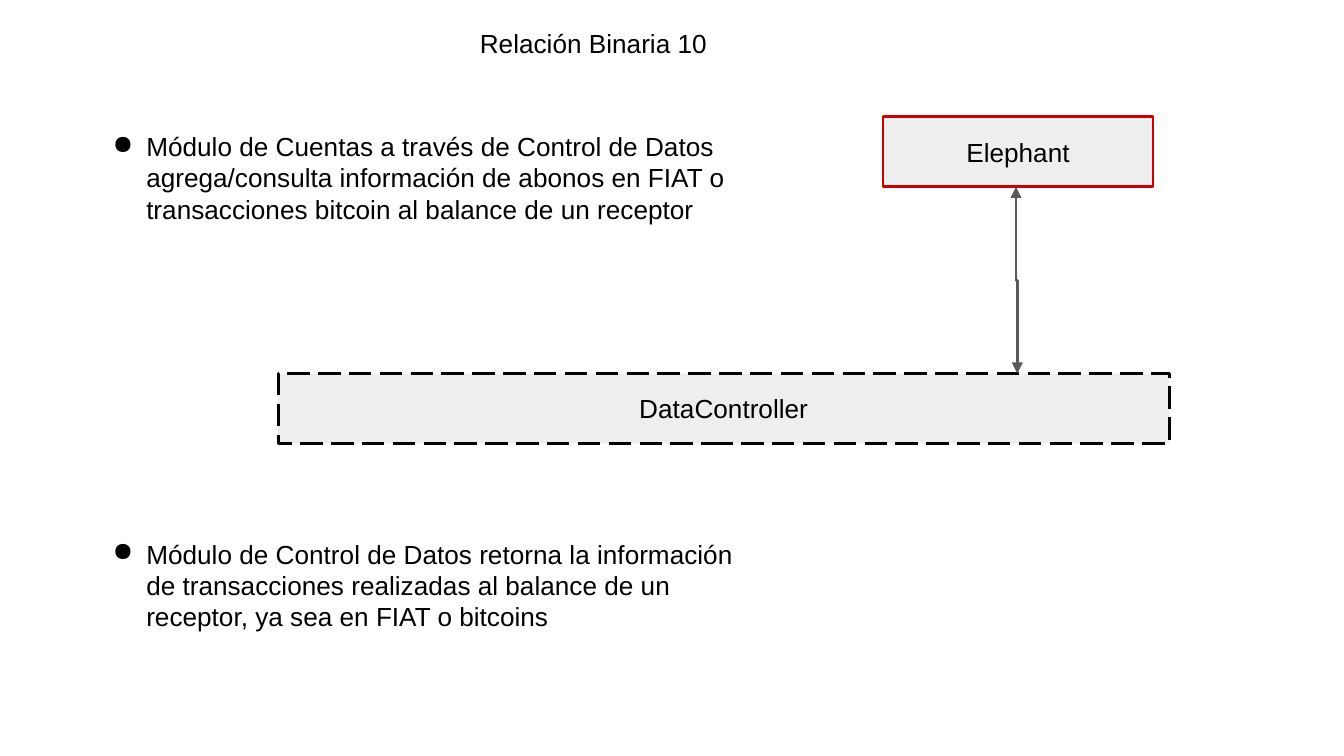
from typing import NamedTuple

from lxml import etree
from pptx import Presentation
from pptx.dml.color import RGBColor
from pptx.enum.dml import MSO_LINE
from pptx.enum.shapes import MSO_CONNECTOR, MSO_SHAPE
from pptx.enum.text import MSO_ANCHOR, MSO_AUTO_SIZE, PP_ALIGN
from pptx.oxml.ns import qn
from pptx.util import Emu, Inches, Pt

RECT = MSO_SHAPE.RECTANGLE
ELBOW = MSO_CONNECTOR.ELBOW
DASH, SOLID = MSO_LINE.LONG_DASH, MSO_LINE.SOLID
TOP, MIDDLE = MSO_ANCHOR.TOP, MSO_ANCHOR.MIDDLE
LEFT, CENTER = PP_ALIGN.LEFT, PP_ALIGN.CENTER
NO_FIT = MSO_AUTO_SIZE.NONE

WIDE, HIGH = Inches(10), Inches(5.625)
COLORS = {"ink": "000000", "fill": "EEEEEE", "red": "CC0000", "arrow": "595959"}
FONT, SIZE, STROKE = "Arial", Pt(14), Pt(1.5)
LEAD, GAP = Pt(16.8), Pt(168)
NOTES = [
    "Módulo de Cuentas a través de Control de Datos agrega/consulta información "
    "de abonos en FIAT o transacciones bitcoin al balance de un receptor",
    "Módulo de Control de Datos retorna la información de transacciones "
    "realizadas al balance de un receptor, ya sea en FIAT o bitcoins",
]


class Area(NamedTuple):
    """Left, top, width and height in percent of the slide."""
    x: float
    y: float
    w: float
    h: float


class Box(NamedTuple):
    text: str
    area: Area
    edge: str
    dash: MSO_LINE


TITLE = Area(34.7, 1.78, 31.5, 7.11)
BODY = Area(4.9, 15.47, 51.6, 73.07)
BOXES = [
    Box("Elephant", Area(65.7, 15.47, 20.1, 9.24), "red", SOLID),
    Box("DataController", Area(20.7, 49.42, 66.3, 9.24), "ink", DASH),
]


def color(name: str) -> RGBColor:
    return RGBColor.from_string(COLORS[name])


def across(share: float) -> Emu:
    return Emu(int(WIDE * share / 100))


def down(share: float) -> Emu:
    return Emu(int(HIGH * share / 100))


def place(area: Area) -> tuple[Emu, Emu, Emu, Emu]:
    return across(area.x), down(area.y), across(area.w), down(area.h)


def style(frame, anchor: MSO_ANCHOR, align: PP_ALIGN) -> None:
    frame.word_wrap = True
    frame.auto_size = NO_FIT
    frame.vertical_anchor = anchor
    frame.margin_left = frame.margin_right = Inches(0.1)
    frame.margin_top = frame.margin_bottom = Inches(0.1)
    for para in frame.paragraphs:
        para.alignment = align
        for run in para.runs:
            run.font.name, run.font.size = FONT, SIZE
            run.font.color.rgb = color("ink")


def add_title(slide, text: str) -> None:
    title = slide.shapes.title
    title.left, title.top, title.width, title.height = place(TITLE)
    title.text_frame.text = text
    style(title.text_frame, TOP, LEFT)


def add_notes(slide) -> None:
    frame = slide.shapes.add_textbox(*place(BODY)).text_frame
    frame.text = "\n".join(NOTES)
    style(frame, TOP, LEFT)
    for para in frame.paragraphs:
        para.line_spacing = LEAD
        props = para._p.get_or_add_pPr()
        props.set("marL", str(Inches(0.5)))
        props.set("indent", str(Inches(-0.25)))
        etree.SubElement(props, qn("a:buChar")).set("char", "●")
    frame.paragraphs[1].space_before = GAP


def add_box(slide, box: Box) -> None:
    shape = slide.shapes.add_shape(RECT, *place(box.area))
    shape.shadow.inherit = False
    shape.fill.solid()
    shape.fill.fore_color.rgb = color("fill")
    shape.line.color.rgb = color(box.edge)
    shape.line.width = STROKE
    shape.line.dash_style = box.dash
    shape.text_frame.text = box.text
    style(shape.text_frame, MIDDLE, CENTER)


def add_link(slide, upper: Area, lower: Area) -> None:
    """Two-headed elbow between the boxes, laid flat and turned upright."""
    start, end = down(upper.y + upper.h), down(lower.y)
    half, jog = (end - start) // 2, Inches(0.01)
    x, y = across(upper.x + upper.w / 2) - jog, (start + end) // 2
    link = slide.shapes.add_connector(ELBOW, x + half, y - jog // 2, x - half, y + jog // 2)
    link.line.color.rgb = color("arrow")
    link.line.width = STROKE
    props = link._element.spPr
    props.find(qn("a:xfrm")).set("rot", str(90 * 60000))
    for end_name in ("a:headEnd", "a:tailEnd"):
        etree.SubElement(props.find(qn("a:ln")), qn(end_name)).set("type", "triangle")
    etree.SubElement(props, qn("a:effectLst"))


def main() -> None:
    deck = Presentation()
    deck.slide_width, deck.slide_height = WIDE, HIGH
    slide = deck.slides.add_slide(deck.slide_layouts[5])
    add_title(slide, "Relación Binaria 10")
    add_notes(slide)
    for box in BOXES:
        add_box(slide, box)
    add_link(slide, BOXES[0].area, BOXES[1].area)
    deck.save("out.pptx")


if __name__ == "__main__":
    main()
